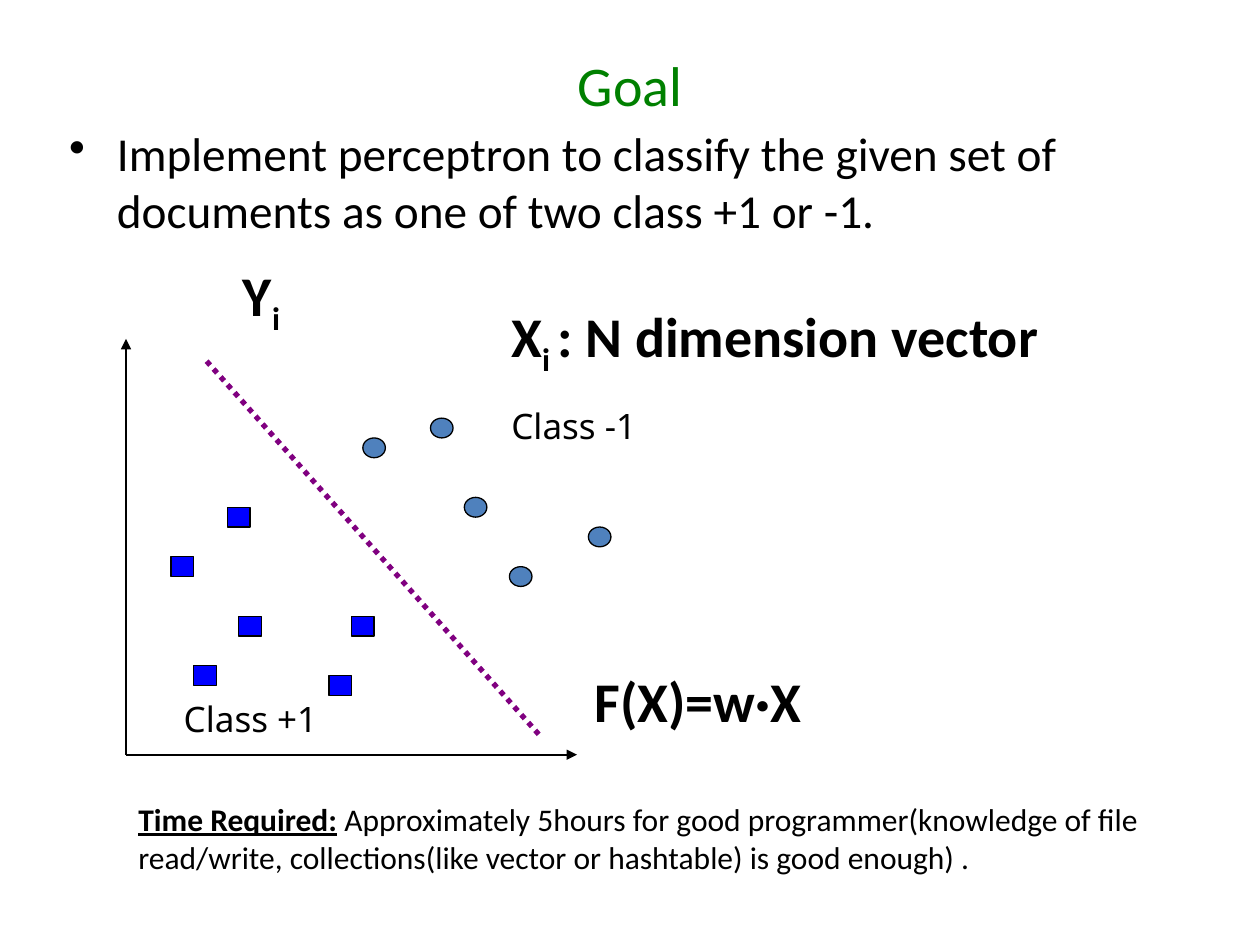
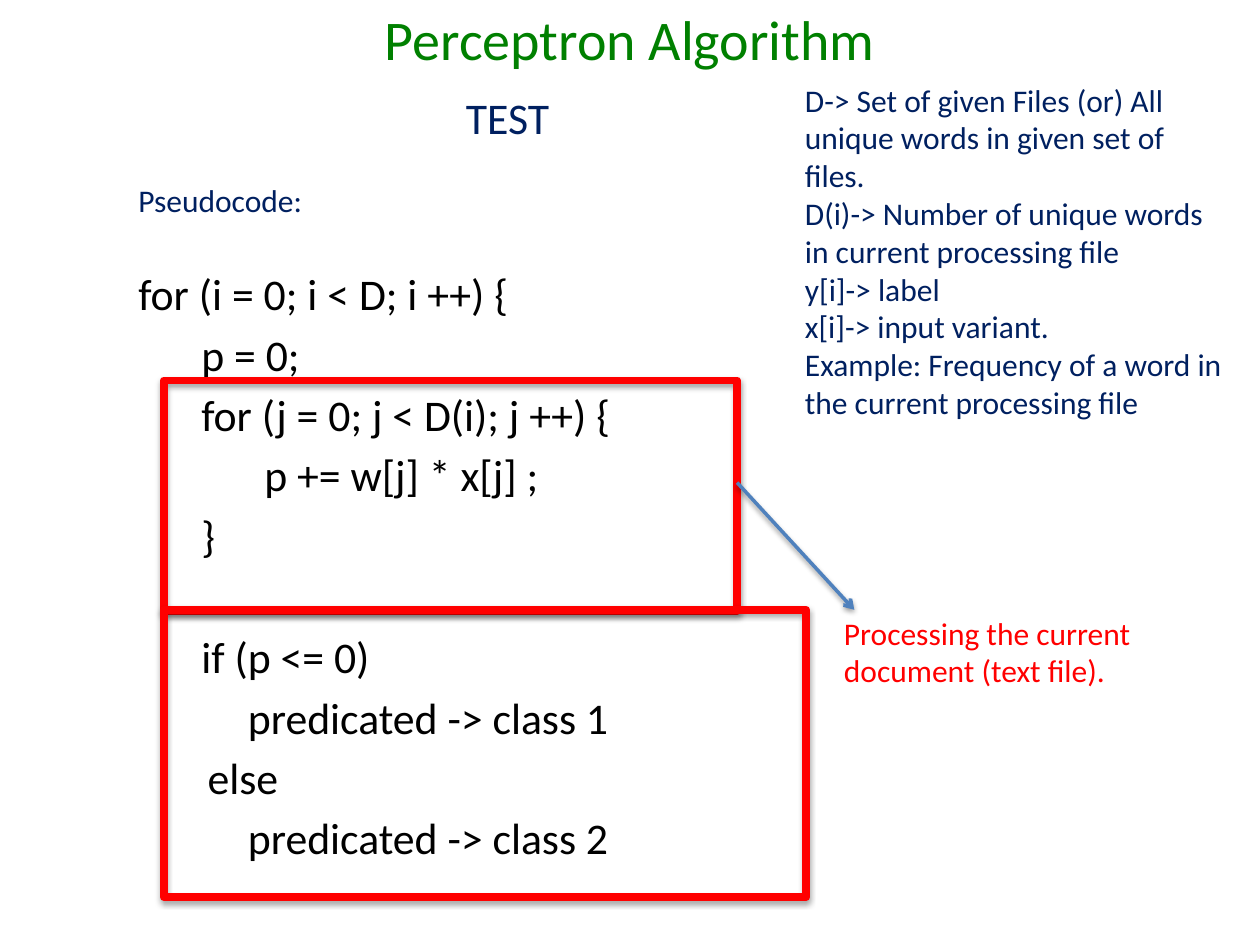
import pptx
import pptx.util
import pptx.dml.color
import pptx.enum.dml
import pptx.enum.shapes
import pptx.enum.text
import pptx.oxml
import pptx.oxml.ns
from lxml import etree

COLORS = {"title": "008000", "text": "000000", "note": "002060", "alert": "FF0000",
          "accent": "4F81BD", "square": "0000FF", "boundary": "800080"}
FONT, LABEL_FONT = "Calibri", "Noto Sans"
WIDTH, HEIGHT = 10, 7.5
MARGIN = 1

GOAL = "Implement perceptron to classify the given set of documents as one of two class +1 or -1."
TIME = [("Time Required:", "bold underline"),
        (" Approximately 5hours for good programmer(knowledge of file read/write, "
         "collections(like vector or hashtable) is good enough) .", "")]
FORMULAS = [
    ([("Y", "bold"), ("i", "bold sub")], (1.83, 2.02, 0.76, 0.64)),
    ([("X", "bold"), ("i ", "bold sub"), (": N dimension vector", "bold")], (3.96, 2.34, 4.89, 0.64)),
    ([("F(X)=w·X", "bold")], (4.62, 5.24, 3.67, 0.64)),
]
CLASS_LABELS = [("Class +1", (1.36, 5.49, 1.36, 0.41)), ("Class -1", (3.96, 3.16, 1.25, 0.41))]

ORIGIN = (MARGIN, 5.99)
AXIS_COLUMNS, AXIS_ROWS = 40, 42
COLUMN, ROW = 3.58 / AXIS_COLUMNS, 3.3 / AXIS_ROWS
MARKER_CELLS = 2
CIRCLES = [(27, 34), (30, 26), (41, 23), (21, 32), (34, 19)]
SQUARES = [(4, 20), (20, 14), (18, 8), (10, 14), (6, 9), (9, 25)]
BOUNDARY = [(7.15, 39.75), (36.65, 2)]

CODE = [("for (i = 0; i < D; i ++) {", 0), ("p = 0;", 0.5),
        ("for (j = 0; j < D(i); j ++) {", 0.5), ("p += w[j] * x[j] ;", 1), ("}", 0.5),
        ("if (p <= 0)", 0.5), ("predicated -> class 1", 0.87),
        ("else", 0.55), ("predicated -> class 2", 0.87)]
CODE_GAP, SECTION_START, SECTION_GAP = 4.5, "if", 39.5
DEFINITIONS = ["D-> Set of given Files (or) All unique words in given set of files.",
               "D(i)-> Number of unique words in current processing file",
               "y[i]-> label", "x[i]-> input variant.",
               "Example: Frequency of a word in the current processing file"]
NOTES = [
    (["Pseudocode:"], (MARGIN, 1.39, 3.1, 0.4), 18, "note"),
    (DEFINITIONS, (6.29, 0.59, 3.57, 3.43), 18, "note"),
    (["Processing the current document (text file)."], (6.6, 4.82, 3.4, 0.71), 18, "alert"),
    (["TEST"], (3.6, 0.67, 2, 0.52), 25, "note"),
]
FRAMES = [(1.3, 3.02, 4.55, 1.83), (1.3, 4.84, 5.1, 2.28)]
CALLOUT = [(5.85, 3.83), (6.78, 4.84)]


def inches(values):
    return [pptx.util.Inches(value) for value in values]


def color(name):
    return pptx.dml.color.RGBColor.from_string(COLORS[name])


def style_run(run, size, color_name, font=FONT, marks=""):
    run.font.size = pptx.util.Pt(size)
    run.font.name = font
    run.font.color.rgb = color(color_name)
    run.font.bold = "bold" in marks
    run.font.underline = "underline" in marks
    if "sub" in marks:
        run.font._element.set("baseline", "-25000")


def add_text(slide, paragraphs, box, size, color_name="text", font=FONT):
    frame = slide.shapes.add_textbox(*inches(box)).text_frame
    frame.word_wrap = True
    for index, content in enumerate(paragraphs):
        paragraph = frame.add_paragraph() if index else frame.paragraphs[0]
        runs = [(content, "")] if isinstance(content, str) else content
        for text, marks in runs:
            run = paragraph.add_run()
            run.text = text
            style_run(run, size, color_name, font, marks)
    return frame.paragraphs


def indent(paragraph, left, first=0):
    properties = paragraph._p.get_or_add_pPr()
    properties.set("marL", str(pptx.util.Inches(left)))
    properties.set("indent", str(pptx.util.Inches(first)))
    return properties


def set_effects(shape, shadow=None):
    properties = shape._element.spPr
    effects = etree.SubElement(properties, pptx.oxml.ns.qn("a:effectLst"))
    if shadow:
        blur, distance, opacity = shadow
        effects.append(pptx.oxml.parse_xml(
            f'<a:outerShdw {pptx.oxml.ns.nsdecls("a")} blurRad="{pptx.util.Pt(blur)}" '
            f'dist="{pptx.util.Pt(distance)}" dir="5400000" rotWithShape="0">'
            f'<a:srgbClr val="{COLORS["text"]}"><a:alpha val="{opacity * 1000}"/>'
            '</a:srgbClr></a:outerShdw>'))


def add_line(slide, start, end, color_name, width, head=None, dash=None, shadow=None):
    line = slide.shapes.add_connector(
        pptx.enum.shapes.MSO_CONNECTOR.STRAIGHT, *inches((*start, *end)))
    line.line.color.rgb = color(color_name)
    line.line.width = pptx.util.Pt(width)
    if dash:
        line.line.dash_style = dash
    if head:
        etree.SubElement(line.line._get_or_add_ln(), pptx.oxml.ns.qn("a:tailEnd"), type=head)
    set_effects(line, shadow)


def add_box(slide, kind, box, line_color, width, fill=None, shadow=None):
    shape = slide.shapes.add_shape(kind, *inches(box))
    if fill:
        shape.fill.solid()
        shape.fill.fore_color.rgb = color(fill)
    else:
        shape.fill.background()
    shape.line.color.rgb = color(line_color)
    shape.line.width = pptx.util.Pt(width)
    set_effects(shape, shadow)


def add_slide(presentation, title, top, height):
    slide = presentation.slides.add_slide(presentation.slide_layouts[5])
    shape = slide.shapes.title
    shape.left, shape.top, shape.width, shape.height = inches((0.5, top, WIDTH - 1, height))
    shape.text_frame.text = title
    shape.text_frame.vertical_anchor = pptx.enum.text.MSO_ANCHOR.MIDDLE
    paragraph = shape.text_frame.paragraphs[0]
    paragraph.alignment = pptx.enum.text.PP_ALIGN.CENTER
    style_run(paragraph.runs[0], 32, "title")
    return slide


def plot_point(column, row):
    return ORIGIN[0] + column * COLUMN, ORIGIN[1] - row * ROW


def build_goal(presentation):
    slide = add_slide(presentation, "Goal", 0.3, 0.73)
    goal = add_text(slide, [GOAL], (0.45, 0.94, 9, 1.1), 27)[0]
    goal.space_before = pptx.util.Pt(5.4)
    bullet = etree.SubElement(indent(goal, 0.38, -0.38), pptx.oxml.ns.qn("a:buChar"))
    bullet.set("char", "•")

    for axis_end in [(0, AXIS_ROWS), (AXIS_COLUMNS, 0)]:
        add_line(slide, ORIGIN, plot_point(*axis_end), "text", 1, head="triangle")
    shapes = pptx.enum.shapes.MSO_SHAPE
    for kind, fill, points in [(shapes.OVAL, "accent", CIRCLES),
                               (shapes.RECTANGLE, "square", SQUARES)]:
        for point in points:
            box = (*plot_point(*point), MARKER_CELLS * COLUMN, MARKER_CELLS * ROW)
            add_box(slide, kind, box, "text", 0.75, fill)
    for label, box in CLASS_LABELS:
        add_text(slide, [label], box, 20, font=LABEL_FONT)
    start, end = [plot_point(*point) for point in BOUNDARY]
    add_line(slide, start, end, "boundary", 3, dash=pptx.enum.dml.MSO_LINE.ROUND_DOT)
    for formula, box in FORMULAS:
        add_text(slide, [formula], box, 32)
    add_text(slide, [TIME], (MARGIN, 6.3, 8.45, 0.71), 18)


def build_algorithm(presentation):
    slide = add_slide(presentation, "Perceptron Algorithm", 0.01, 0.59)
    lines = add_text(slide, [text for text, _ in CODE], (MARGIN, 2.07, 8.5, HEIGHT - 2.07), 25)
    for paragraph, (text, left) in zip(lines, CODE):
        indent(paragraph, left)
        gap = SECTION_GAP if text.startswith(SECTION_START) else CODE_GAP
        paragraph.space_before = pptx.util.Pt(gap)
    for box in FRAMES:
        add_box(slide, pptx.enum.shapes.MSO_SHAPE.RECTANGLE, box, "alert", 4.5,
                shadow=(3.1, 1.8, 35))
    for paragraphs, box, size, color_name in NOTES:
        add_text(slide, paragraphs, box, size, color_name)
    add_line(slide, *CALLOUT, "accent", 2, head="arrow", shadow=(3.1, 1.6, 38))


presentation = pptx.Presentation()
presentation.slide_width, presentation.slide_height = inches((WIDTH, HEIGHT))
build_goal(presentation)
build_algorithm(presentation)
presentation.save("out.pptx")
